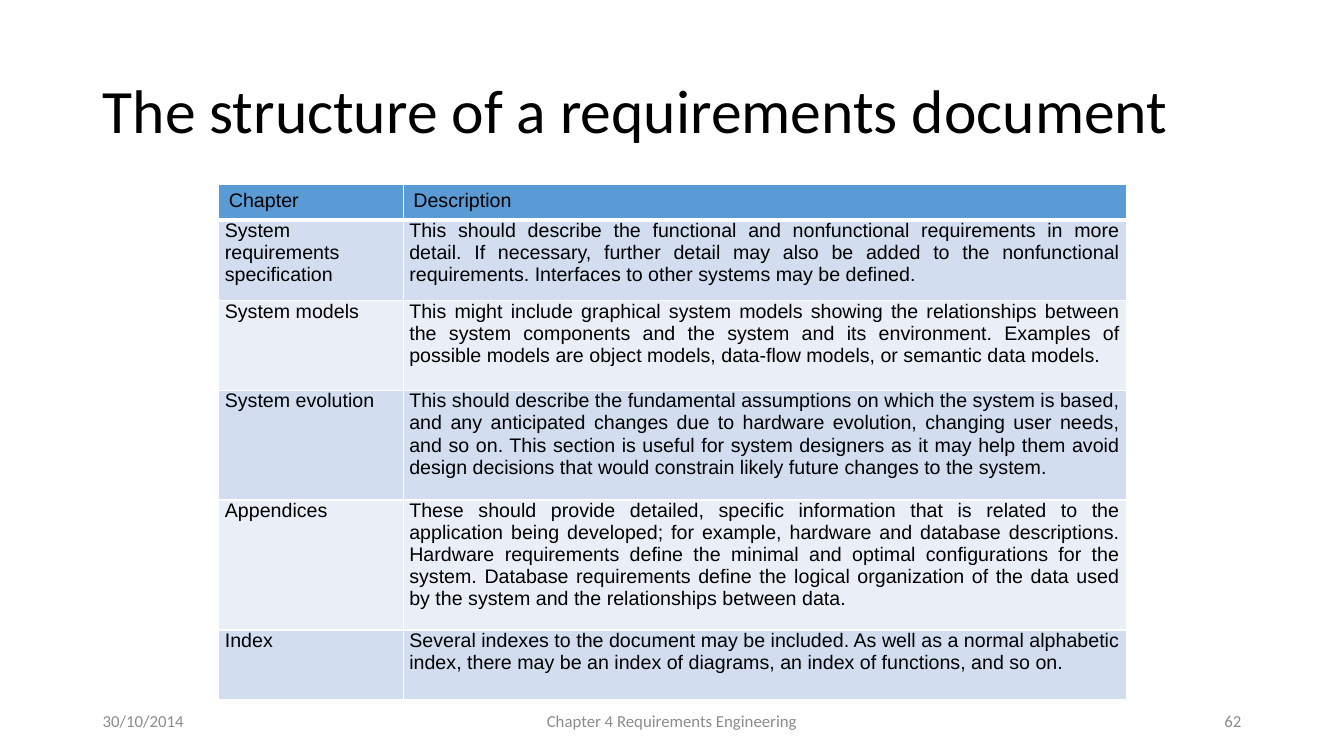
from lxml import etree
from pptx import Presentation, util as u
from pptx.dml.color import RGBColor
from pptx.enum import text as t
from pptx.oxml import ns

deck = Presentation()
deck.slide_width, deck.slide_height = u.Inches(13.33), u.Inches(7.5)
slide = deck.slides.add_slide(deck.slide_layouts[6])


def paint(color_format, hex_color):
    color_format.rgb = RGBColor.from_string(hex_color)


def write(frame, words, size=14, font="Arial", color="000000",
          align=t.PP_ALIGN.LEFT, spacing=1.0):
    frame.word_wrap = True
    line = frame.paragraphs[0]
    line.alignment, line.line_spacing = align, spacing
    run = line.add_run()
    run.text = words
    run.font.size, run.font.name = u.Pt(size), font
    paint(run.font.color, color)


# Page grid: a margin on each side, the footer in a band at the bottom
width = 13.33
margin = 0.92
footer_top, footer_height = 6.95, 0.4
date_width, caption_width = 3, 4.5

# Title and footer: left, top, width, height, wording, format
grey = dict(size=12, font="Calibri", color="8C8C8C")
page_texts = [
    (margin, 0.4, width - 2 * margin, 1.45, "The structure of a requirements document",
     dict(size=44, font="Calibri", spacing=0.9)),
    (margin, footer_top, date_width, footer_height, "30/10/2014", grey),
    ((width - caption_width) / 2, footer_top, caption_width, footer_height,
     "Chapter 4 Requirements Engineering", dict(grey, align=t.PP_ALIGN.CENTER)),
    (width - margin - date_width, footer_top, date_width, footer_height, "62",
     dict(grey, align=t.PP_ALIGN.RIGHT)),
]
for left, top, wide, high, words, style in page_texts:
    frame = slide.shapes.add_textbox(*map(u.Inches, (left, top, wide, high))).text_frame
    frame.vertical_anchor = t.MSO_ANCHOR.MIDDLE
    write(frame, words, **style)

# Chapters of the document
chapters = [
    ("Chapter", "Description"),
    ("System requirements specification",
     "This should describe the functional and nonfunctional requirements in more detail. "
     "If necessary, further detail may also be added to the nonfunctional requirements. "
     "Interfaces to other systems may be defined."),
    ("System models",
     "This might include graphical system models showing the relationships between the "
     "system components and the system and its environment. Examples of possible models "
     "are object models, data-flow models, or semantic data models. "),
    ("System evolution",
     "This should describe the fundamental assumptions on which the system is based, and "
     "any anticipated changes due to hardware evolution, changing user needs, and so on. "
     "This section is useful for system designers as it may help them avoid design "
     "decisions that would constrain likely future changes to the system."),
    ("Appendices",
     "These should provide detailed, specific information that is related to the "
     "application being developed; for example, hardware and database descriptions. "
     "Hardware requirements define the minimal and optimal configurations for the system. "
     "Database requirements define the logical organization of the data used by the "
     "system and the relationships between data. "),
    ("Index",
     "Several indexes to the document may be included. As well as a normal alphabetic "
     "index, there may be an index of diagrams, an index of functions, and so on."),
]
column_widths = [1.83, 7.17]
row_heights = [0.35, 0.76, 0.89, 1.09, 1.29, 0.69]
header_fill, band_fills = "5B9BD5", ["EAEFF7", "D2DEEF"]

# Table frame
structure = slide.shapes.add_table(
    len(row_heights), len(column_widths), u.Inches(2.17), u.Inches(1.83),
    u.Inches(sum(column_widths)), u.Inches(sum(row_heights))).table
for column, wide in zip(structure.columns, column_widths):
    column.width = u.Inches(wide)
for row, high in zip(structure.rows, row_heights):
    row.height = u.Inches(high)

# Table cells: header, then alternating bands, with white rules
for r, chapter in enumerate(chapters):
    is_header = r == 0
    for c, words in enumerate(chapter):
        cell = structure.cell(r, c)
        if not is_header:
            cell.margin_left = cell.margin_right = u.Inches(0.06)
            cell.margin_top, cell.margin_bottom = 0, u.Inches(0.1)
        write(cell.text_frame, words,
              align=t.PP_ALIGN.LEFT if is_header else t.PP_ALIGN.JUSTIFY)
        properties = cell._tc.get_or_add_tcPr()
        for side in ("lnL", "lnR", "lnT", "lnB"):
            points = 3 if is_header and side == "lnB" else 1
            rule = etree.SubElement(properties, ns.qn("a:" + side), w=str(u.Pt(points)))
            solid = etree.SubElement(rule, ns.qn("a:solidFill"))
            etree.SubElement(solid, ns.qn("a:srgbClr"), val="FFFFFF")
        cell.fill.solid()
        paint(cell.fill.fore_color, header_fill if is_header else band_fills[r % 2])

deck.save("out.pptx")
